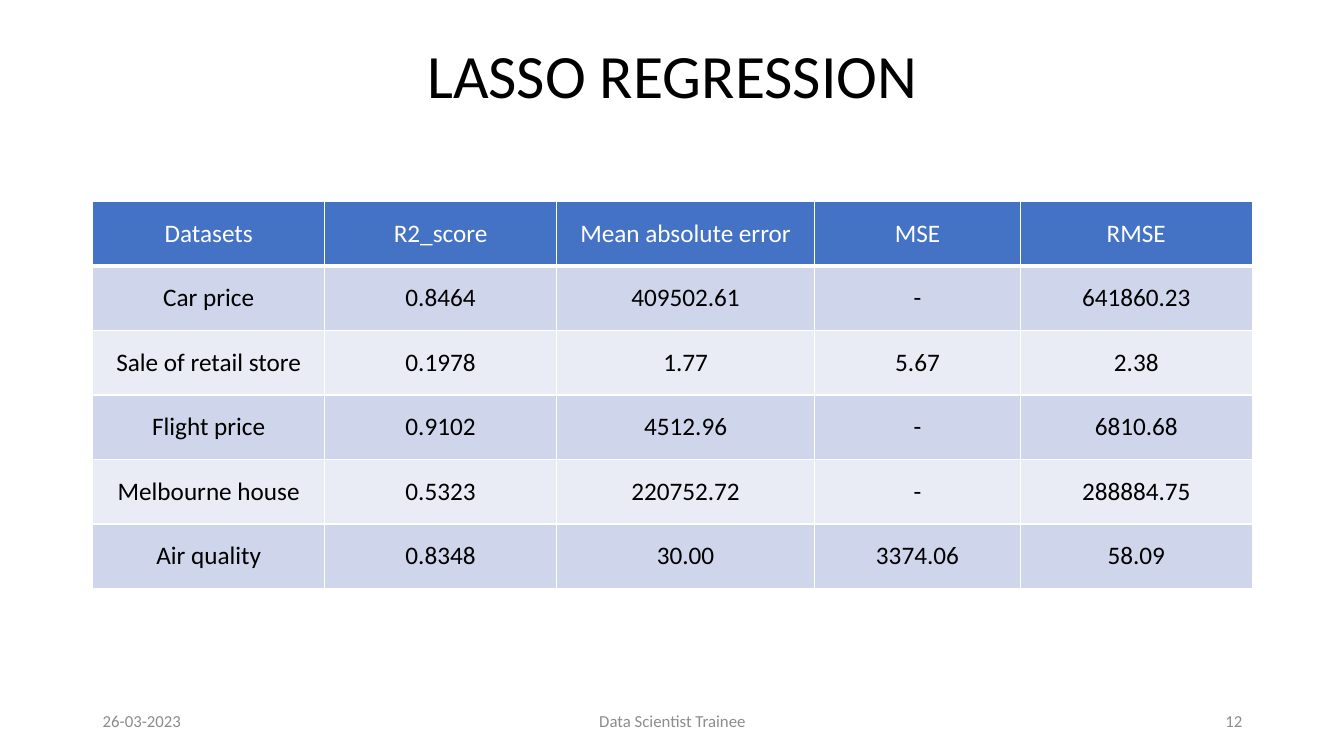
from lxml.etree import SubElement
from pptx import Presentation
from pptx.dml.color import RGBColor
from pptx.enum.text import MSO_ANCHOR, MSO_AUTO_SIZE, PP_ALIGN
from pptx.oxml.ns import qn
from pptx.util import Inches, Pt

MARGIN, UNIT = 0.92, 0.5  # the content area is 23 units wide
TITLE_ONLY = 5
FORMATS = {
    "title": {"name": "Calibri", "size": Pt(44), "bold": False, "color": "000000"},
    "header": {"name": "Calibri", "size": Pt(18), "bold": False, "color": "FFFFFF"},
    "body": {"name": "Calibri", "size": Pt(18), "bold": False, "color": "000000"},
    "footer": {"name": "Calibri", "size": Pt(12), "bold": False, "color": "8C8C8C"},
}
HEADER_FILL, BAND_FILLS = "4472C4", ("CFD5EA", "E9EBF5")
COLUMN_UNITS = (4.6, 4.6, 5.12, 4.08, 4.6)
ROW_HEIGHT = 0.64
SCORES = [
    ("Datasets", "R2_score", "Mean absolute error", "MSE", "RMSE"),
    ("Car price", "0.8464", "409502.61", "-", "641860.23"),
    ("Sale of retail store", "0.1978", "1.77", "5.67", "2.38"),
    ("Flight price", "0.9102", "4512.96", "-", "6810.68"),
    ("Melbourne house", "0.5323", "220752.72", "-", "288884.75"),
    ("Air quality", "0.8348", "30.00", "3374.06", "58.09"),
]
FOOTERS = [
    ("26-03-2023", 0, 6, PP_ALIGN.LEFT),
    ("Data Scientist Trainee", 7, 9, PP_ALIGN.CENTER),
    ("12", 17, 6, PP_ALIGN.RIGHT),
]


def paint(color_format, color):
    color_format.rgb = RGBColor.from_string(color)


def area(column, top, columns, height):
    """Return left, top, width and height, with columns counted in grid units."""
    return [Inches(n) for n in (MARGIN + column * UNIT, top, columns * UNIT, height)]


def write(frame, text, style, align=PP_ALIGN.CENTER):
    para = frame.paragraphs[0]
    para.alignment = align
    span = para.add_run()
    span.text = text
    for key, value in FORMATS[style].items():
        if key == "color":
            paint(span.font.color, value)
        else:
            setattr(span.font, key, value)
    return para


def add_title(page, text):
    title = page.shapes.title
    title.left, title.top, title.width, title.height = area(0, 0.4, 23, 1.45)
    frame = title.text_frame
    frame.auto_size = MSO_AUTO_SIZE.NONE
    frame.vertical_anchor = MSO_ANCHOR.TOP
    write(frame, text, "title").line_spacing = 0.9


def add_borders(cell, bottom):
    properties = cell._tc.get_or_add_tcPr()
    for side, points in (("L", 1), ("R", 1), ("T", 1), ("B", bottom)):
        line = SubElement(properties, qn(f"a:ln{side}"), w=str(Pt(points)))
        fill = SubElement(line, qn("a:solidFill"))
        SubElement(fill, qn("a:srgbClr"), val="FFFFFF")


def add_score_table(page):
    place = area(0, 2, sum(COLUMN_UNITS), ROW_HEIGHT * len(SCORES))
    table = page.shapes.add_table(len(SCORES), len(COLUMN_UNITS), *place).table
    for column, units in zip(table.columns, COLUMN_UNITS):
        column.width = Inches(units * UNIT)
    for index, (row, values) in enumerate(zip(table.rows, SCORES)):
        row.height = Inches(ROW_HEIGHT)
        is_header = index == 0
        for cell, value in zip(row.cells, values):
            add_borders(cell, bottom=3 if is_header else 1)
            cell.fill.solid()
            paint(cell.fill.fore_color,
                  HEADER_FILL if is_header else BAND_FILLS[(index - 1) % 2])
            cell.vertical_anchor = MSO_ANCHOR.MIDDLE
            write(cell.text_frame, value, "header" if is_header else "body")


def add_footer(page, text, column, columns, align):
    box = page.shapes.add_textbox(*area(column, 6.95, columns, 0.4))
    frame = box.text_frame
    frame.word_wrap = True
    frame.vertical_anchor = MSO_ANCHOR.MIDDLE
    write(frame, text, "footer", align)


def main():
    deck = Presentation()
    deck.slide_width, deck.slide_height = Inches(13.33), Inches(7.5)
    page = deck.slides.add_slide(deck.slide_layouts[TITLE_ONLY])
    add_title(page, "LASSO REGRESSION")
    add_score_table(page)
    for footer in FOOTERS:
        add_footer(page, *footer)
    deck.save("out.pptx")


if __name__ == "__main__":
    main()
